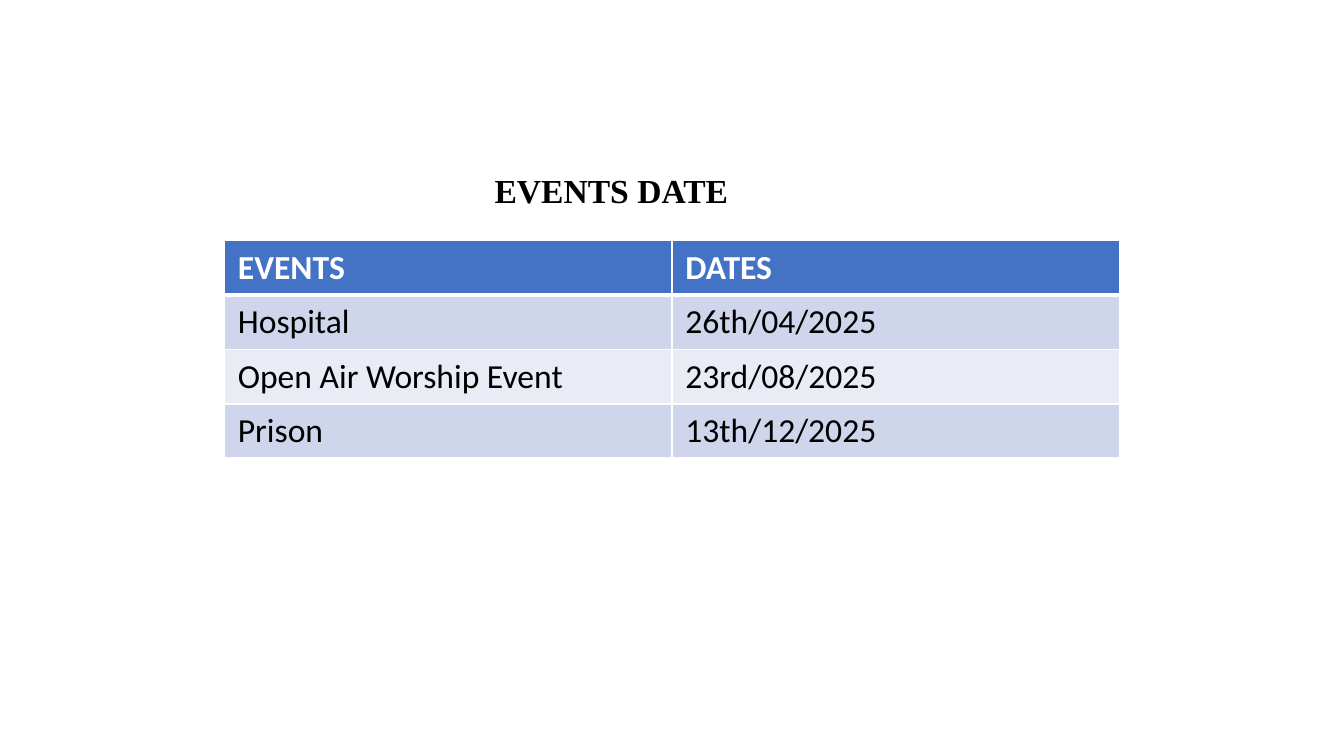
from lxml.etree import SubElement
from pptx import Presentation
from pptx.dml.color import RGBColor
from pptx.oxml.ns import qn
from pptx.util import Inches, Pt

BLACK = RGBColor(0x00, 0x00, 0x00)
WHITE = RGBColor(0xFF, 0xFF, 0xFF)
HEADER_BLUE = RGBColor(0x44, 0x72, 0xC4)
BAND_DARK = RGBColor(0xCF, 0xD5, 0xEA)
BAND_LIGHT = RGBColor(0xE9, 0xEB, 0xF5)

EVENT_ROWS = [
    ("EVENTS", "DATES"),
    ("Hospital", "26th/04/2025"),
    ("Open Air Worship Event", "23rd/08/2025"),
    ("Prison", "13th/12/2025"),
]


def style_font(font, name, color, bold):
    font.name = name
    font.size = Pt(18)
    font.bold = bold
    font.color.rgb = color


def add_title(page, text):
    box = page.shapes.add_textbox(Inches(3.61), Inches(1.03), Inches(2.06), Inches(0.63))
    frame = box.text_frame
    frame.word_wrap = True
    frame.margin_left = Inches(0.07)
    frame.margin_top = frame.margin_right = frame.margin_bottom = 0
    para = frame.paragraphs[0]
    para.text = text
    para.line_spacing = Pt(38.4)
    style_font(para.font, "Times New Roman", BLACK, True)


def set_borders(cell, widths):
    """Draw white borders, with widths in points keyed by side: L, R, T, B."""
    properties = cell._tc.get_or_add_tcPr()
    for side, width in widths.items():
        line = SubElement(properties, qn(f"a:ln{side}"), w=str(Pt(width)))
        fill = SubElement(line, qn("a:solidFill"))
        SubElement(fill, qn("a:srgbClr"), val=str(WHITE))


def style_cell(cell, row):
    is_header = row == 0
    set_borders(cell, {
        "L": 1,
        "R": 1,
        "T": 3 if row == 1 else 1,
        "B": 3 if is_header else 1,
    })
    cell.fill.solid()
    if is_header:
        cell.fill.fore_color.rgb = HEADER_BLUE
    else:
        cell.fill.fore_color.rgb = BAND_DARK if row % 2 else BAND_LIGHT
    color = WHITE if is_header else BLACK
    style_font(cell.text_frame.paragraphs[0].font, "Calibri", color, is_header)


def add_events_table(page, rows):
    frame = page.shapes.add_table(
        len(rows), len(rows[0]),
        Inches(1.67), Inches(1.79), Inches(6.66), Inches(1.62),
    )
    table = frame.table
    for row, texts in enumerate(rows):
        for column, text in enumerate(texts):
            cell = table.cell(row, column)
            cell.text = text
            style_cell(cell, row)


def main():
    deck = Presentation()
    deck.slide_width = Inches(10)
    deck.slide_height = deck.slide_width * 9 // 16
    page = deck.slides.add_slide(deck.slide_layouts[6])
    add_title(page, "EVENTS DATE")
    add_events_table(page, EVENT_ROWS)
    deck.save("out.pptx")


if __name__ == "__main__":
    main()
